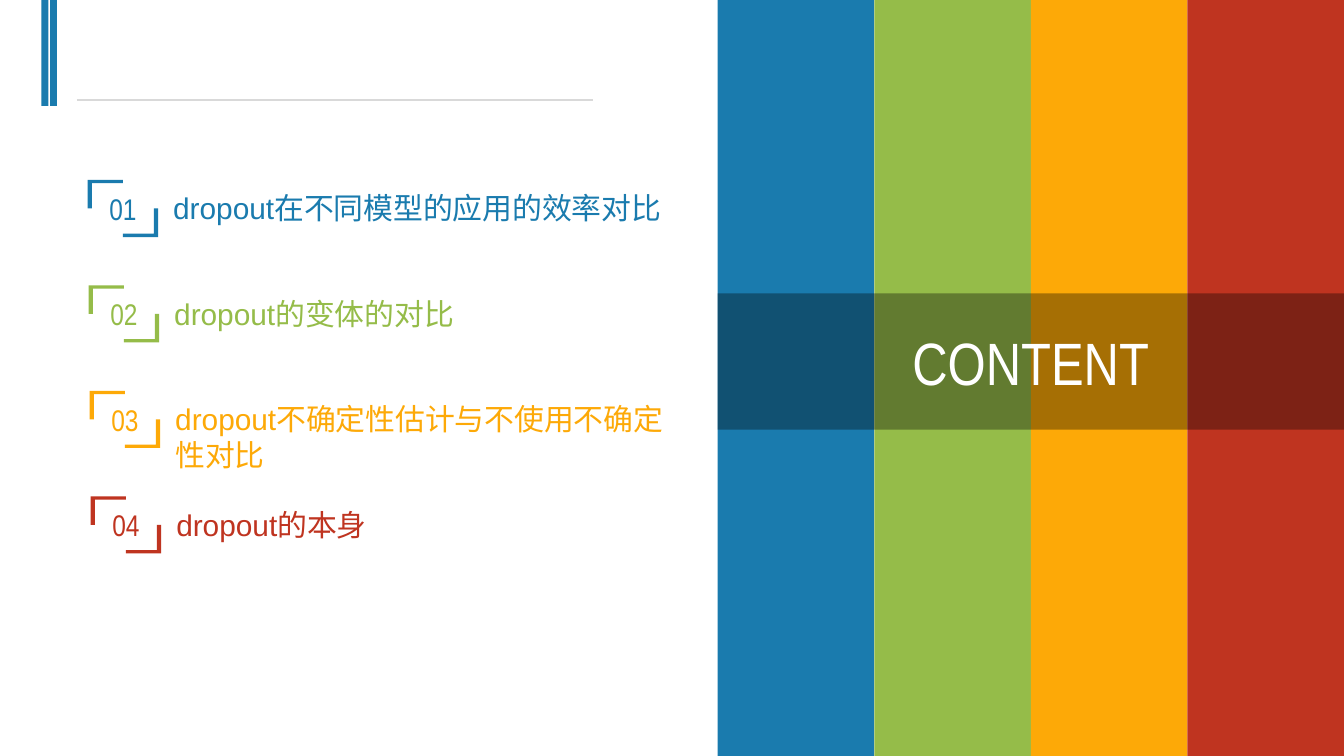
from typing import NamedTuple

import pptx
import pptx.dml.color
import pptx.enum.shapes
import pptx.enum.text
import pptx.oxml.ns
import pptx.oxml.xmlchemy
import pptx.util

Pt = pptx.util.Pt
BLUE, GREEN, AMBER, RED = "1A7BAE", "95BC49", "FDA907", "BF3420"
SLIDE_W, SLIDE_H = 720, 405
STRIPES_LEFT = 384.5
BRACKET_W, BRACKET_H = 37.8, 30.6


class Topic(NamedTuple):
    number: str
    wording: str
    color: str
    height: float


TOPICS = [
    Topic("01", "dropout在不同模型的应用的效率对比", BLUE, 26.6),
    Topic("02", "dropout的变体的对比", GREEN, 26.6),
    Topic("03", "dropout不确定性估计与不使用不确定性对比", AMBER, 46),
    Topic("04", "dropout的本身", RED, 26.6),
]


def rgb(color: str) -> pptx.dml.color.RGBColor:
    return pptx.dml.color.RGBColor.from_string(color)


def paint(shape, color: str) -> None:
    shape.shadow.inherit = False
    shape.fill.solid()
    shape.fill.fore_color.rgb = rgb(color)
    shape.line.fill.background()


def write(shape, wording: str, size: float, font: str, color: str, centered: bool) -> None:
    frame = shape.text_frame
    frame.word_wrap = True
    frame.text = wording
    paragraph = frame.paragraphs[0]
    paragraph.font.size = Pt(size)
    paragraph.font.name = font
    paragraph.font.color.rgb = rgb(color)
    if centered:
        paragraph.alignment = pptx.enum.text.PP_ALIGN.CENTER
        frame.vertical_anchor = pptx.enum.text.MSO_ANCHOR.MIDDLE
    else:
        paragraph.alignment = pptx.enum.text.PP_ALIGN.LEFT


def add_bar(slide, left: float, top: float, width: float, height: float, color: str) -> None:
    bar = slide.shapes.add_shape(
        pptx.enum.shapes.MSO_SHAPE.RECTANGLE, Pt(left), Pt(top), Pt(width), Pt(height))
    paint(bar, color)


def add_brackets(slide, left: float, top: float, topic: Topic) -> None:
    side, edge = 2.3, 1.8
    mid_x, mid_y = BRACKET_W / 2, BRACKET_H / 2
    upper = [(0, 0), (mid_x, 0), (mid_x, edge), (side, edge), (side, mid_y), (0, mid_y)]
    # The lower corner is the upper one turned by half a circle
    lower = [(BRACKET_W - x, BRACKET_H - y) for x, y in upper]
    builder = slide.shapes.build_freeform(0, 0)
    for corner in (upper, lower):
        points = [(Pt(x), Pt(y)) for x, y in corner]
        builder.move_to(*points[0])
        builder.add_line_segments(points[1:], close=True)
    brackets = builder.convert_to_shape(Pt(left), Pt(top))
    paint(brackets, topic.color)
    write(brackets, topic.number, 16, "Arial Narrow", topic.color, centered=True)


def add_topic(slide, index: int, topic: Topic) -> None:
    left, top = 46.9 + 0.55 * index, 96.4 + 56.5 * index
    entry = slide.shapes.add_textbox(
        Pt(left + 38.8), Pt(top + 1.8), Pt(286.6), Pt(topic.height))
    write(entry, topic.wording, 16, "Arial", topic.color, centered=False)
    add_brackets(slide, left, top, topic)


def main() -> None:
    deck = pptx.Presentation()
    deck.slide_width, deck.slide_height = Pt(SLIDE_W), Pt(SLIDE_H)
    slide = deck.slides.add_slide(deck.slide_layouts[5])

    # Header bars and rule
    for left in (22.2, 26.8):
        add_bar(slide, left, 0, 3.7, 56.8, BLUE)
    rule = slide.shapes.add_connector(
        pptx.enum.shapes.MSO_CONNECTOR.STRAIGHT, Pt(41.2), Pt(53.6), Pt(317.6), Pt(53.6))
    rule.line.color.rgb = rgb("D9D9D9")
    rule.line.width = Pt(0.75)
    rule._element.spPr.append(pptx.oxml.xmlchemy.OxmlElement("a:effectLst"))

    # Numbered topics
    for index, topic in enumerate(TOPICS):
        add_topic(slide, index, topic)

    # Coloured stripes, one for each topic
    stripe_w = (SLIDE_W - STRIPES_LEFT) / len(TOPICS)
    for index, topic in enumerate(TOPICS):
        add_bar(slide, STRIPES_LEFT + index * stripe_w, 0, stripe_w, SLIDE_H, topic.color)

    # Title on a translucent band, brought to the front
    title = slide.shapes.title
    title.left, title.top = Pt(STRIPES_LEFT), Pt(157.2)
    title.width, title.height = Pt(SLIDE_W - STRIPES_LEFT), Pt(73)
    title.fill.solid()
    title.fill.fore_color.rgb = rgb("000000")
    alpha = pptx.oxml.xmlchemy.OxmlElement("a:alpha")
    alpha.set("val", "34000")
    title._element.spPr.find(".//" + pptx.oxml.ns.qn("a:srgbClr")).append(alpha)
    write(title, "CONTENT", 32, "Arial Narrow", "FFFFFF", centered=True)
    title.text_frame.auto_size = pptx.enum.text.MSO_AUTO_SIZE.NONE
    slide.shapes._spTree.append(title._element)

    deck.save("out.pptx")


if __name__ == "__main__":
    main()
